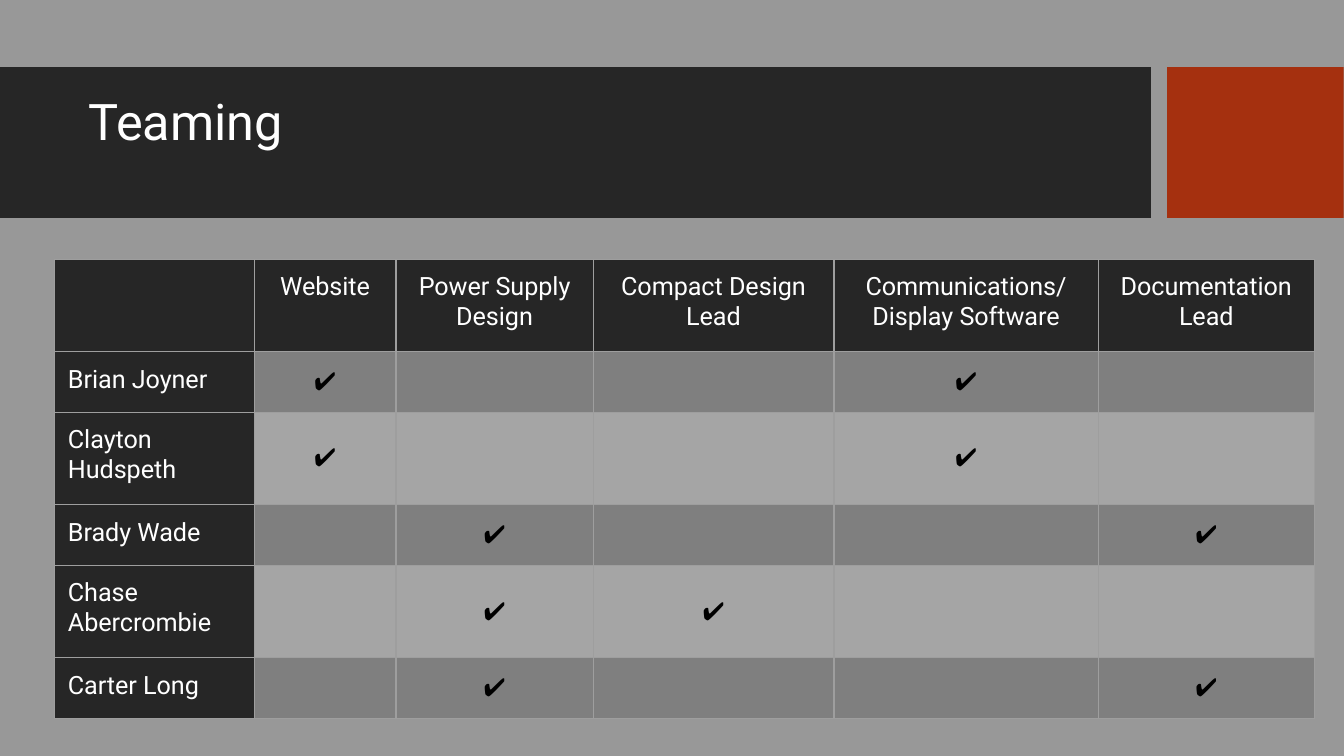
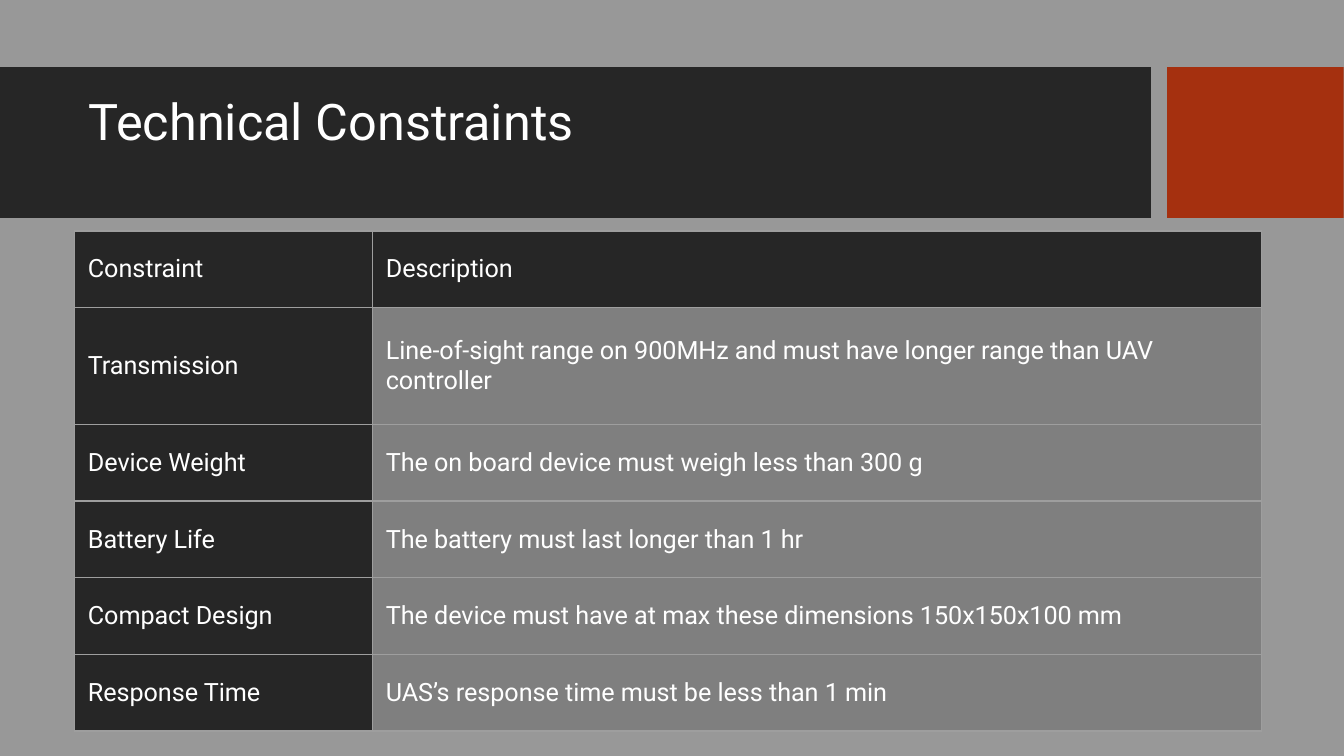
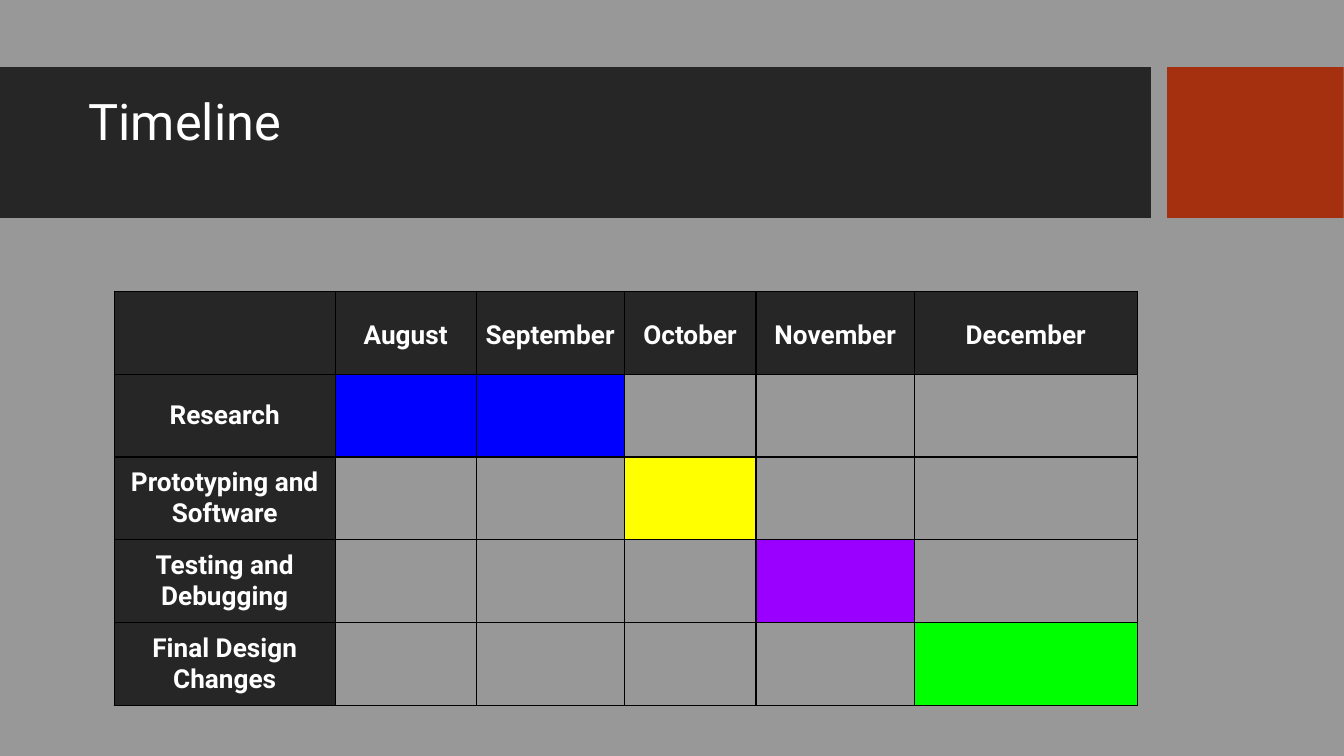
"""Build three project slides: team roles, technical constraints and timeline."""
from dataclasses import dataclass

from lxml import etree
from pptx import Presentation
from pptx.dml.color import RGBColor
from pptx.enum.shapes import MSO_SHAPE
from pptx.enum.text import MSO_ANCHOR, PP_ALIGN
from pptx.oxml.ns import qn
from pptx.util import Pt

RECTANGLE = MSO_SHAPE.RECTANGLE
TOP, MIDDLE = MSO_ANCHOR.TOP, MSO_ANCHOR.MIDDLE
LEFT, CENTER = PP_ALIGN.LEFT, PP_ALIGN.CENTER
CHECK = "✔"


@dataclass(frozen=True)
class Theme:
    background: str = "989898"
    band: str = "262626"
    accent: str = "A5300F"
    light_text: str = "FFFFFF"
    dark_text: str = "000000"
    row_dark: str = "7F7F7F"
    row_light: str = "A5A5A5"
    grid: str = "9E9E9E"
    timeline_grid: str = "000000"
    font: str = "Roboto"
    title_size: float = 27
    table_size: float = 13.5
    timeline_size: float = 14


@dataclass(frozen=True)
class TableStyle:
    size: float
    border: str
    margins: tuple
    bold: bool = False
    anchor: int = MIDDLE
    header_align: int = LEFT
    label_align: int = LEFT
    body_align: int = LEFT
    header_spacing: float = 1.0


THEME = Theme()

ROLES = ["Website", "Power Supply Design", "Compact Design Lead",
         "Communications/\nDisplay Software", "Documentation Lead"]
MEMBERS = [
    ("Brian Joyner", (0, 3)),
    ("Clayton Hudspeth", (0, 3)),
    ("Brady Wade", (1, 4)),
    ("Chase Abercrombie", (1, 2)),
    ("Carter Long", (1, 4)),
]
CONSTRAINTS = [
    ("Constraint", "Description"),
    ("Transmission", "Line-of-sight range on 900MHz and must have longer range than UAV controller"),
    ("Device Weight", "The on board device must weigh less than 300 g"),
    ("Battery Life", "The battery must last longer than 1 hr"),
    ("Compact Design", "The device must have at max these dimensions 150x150x100 mm"),
    ("Response Time", "UAS’s response time must be less than 1 min"),
]
MONTHS = ["August", "September", "October", "November", "December"]
PHASES = [
    ("Research", "0000FF", (0, 1)),
    ("Prototyping and Software", "FFFF00", (2,)),
    ("Testing and Debugging", "9900FF", (3,)),
    ("Final Design Changes", "00FF00", (4,)),
]

TEAM_STYLE = TableStyle(THEME.table_size, THEME.grid, (7.2, 7.2), anchor=TOP,
                        header_align=CENTER, body_align=CENTER)
CONSTRAINT_STYLE = TableStyle(THEME.table_size, THEME.grid, (7.2, 7.2))
TIMELINE_STYLE = TableStyle(THEME.timeline_size, THEME.timeline_grid, (2.2, 1.4), bold=True,
                            header_align=CENTER, label_align=CENTER, header_spacing=1.15)


def color(value):
    return RGBColor.from_string(value)


def format_text(text_frame, size, text_color, align, spacing, bold=False):
    for paragraph in text_frame.paragraphs:
        paragraph.alignment = align
        paragraph.line_spacing = spacing
        for run in paragraph.runs:
            run.font.name = THEME.font
            run.font.size = Pt(size)
            run.font.bold = bold
            run.font.color.rgb = color(text_color)


def add_band(slide, left, width, fill):
    shape = slide.shapes.add_shape(RECTANGLE, Pt(left), Pt(36), Pt(width), Pt(80.8))
    shape.shadow.inherit = False
    shape.fill.solid()
    shape.fill.fore_color.rgb = color(fill)
    shape.line.fill.background()


def add_titled_slide(presentation, title):
    slide = presentation.slides.add_slide(presentation.slide_layouts[6])
    slide.background.fill.solid()
    slide.background.fill.fore_color.rgb = color(THEME.background)
    add_band(slide, 0, 616.5, THEME.band)
    add_band(slide, 625.2, 94.6, THEME.accent)
    text_frame = slide.shapes.add_textbox(Pt(40.4), Pt(44.6), Pt(568), Pt(64)).text_frame
    text_frame.word_wrap = True
    text_frame.margin_left = text_frame.margin_right = Pt(7.2)
    text_frame.margin_top = text_frame.margin_bottom = Pt(7.2)
    text_frame.text = title
    format_text(text_frame, THEME.title_size, THEME.light_text, LEFT, 0.9)
    return slide


def set_borders(cell, border):
    properties = cell._tc.get_or_add_tcPr()
    for side in ("a:lnL", "a:lnR", "a:lnT", "a:lnB"):
        line = etree.SubElement(properties, qn(side), w=str(Pt(0.75)))
        fill = etree.SubElement(line, qn("a:solidFill"))
        etree.SubElement(fill, qn("a:srgbClr"), val=border)


def fill_cell(cell, fill):
    if fill:
        cell.fill.solid()
        cell.fill.fore_color.rgb = color(fill)
    else:
        cell.fill.background()


def write_cell(cell, text, style, is_header, is_label):
    horizontal, vertical = style.margins
    cell.margin_left = cell.margin_right = Pt(horizontal)
    cell.margin_top = cell.margin_bottom = Pt(vertical if text else 0)
    cell.vertical_anchor = MIDDLE if text == CHECK else style.anchor
    cell.text_frame.text = text
    align = (style.header_align if is_header
             else style.label_align if is_label else style.body_align)
    format_text(cell.text_frame, style.size,
                THEME.dark_text if text == CHECK else THEME.light_text,
                align, style.header_spacing if is_header else 1.0, style.bold)


def add_grid(slide, left, top, widths, heights, rows, body_fills, style):
    table = slide.shapes.add_table(len(rows), len(widths), Pt(left), Pt(top),
                                   Pt(sum(widths)), Pt(sum(heights))).table
    table.horz_banding = False
    for column, width in zip(table.columns, widths):
        column.width = Pt(width)
    for row_index, (texts, height) in enumerate(zip(rows, heights)):
        table.rows[row_index].height = Pt(height)
        for column_index, text in enumerate(texts):
            cell = table.cell(row_index, column_index)
            is_header, is_label = row_index == 0, column_index == 0
            write_cell(cell, text, style, is_header, is_label)
            set_borders(cell, style.border)
            fill_cell(cell, THEME.band if is_header or is_label
                      else body_fills[row_index - 1][column_index - 1])


def build_team(presentation):
    slide = add_titled_slide(presentation, "Teaming")
    rows = [["", *ROLES]]
    rows += [[name, *(CHECK if role in duties else "" for role in range(len(ROLES)))]
             for name, duties in MEMBERS]
    fills = [[(THEME.row_dark, THEME.row_light)[index % 2]] * len(ROLES)
             for index in range(len(MEMBERS))]
    add_grid(slide, 29.2, 138.8, [107, 76, 105.6, 129, 141.6, 115.8],
             [49.6, 32.4] * 3, rows, fills, TEAM_STYLE)


def build_constraints(presentation):
    slide = add_titled_slide(presentation, "Technical Constraints")
    fills = [[THEME.row_dark]] * (len(CONSTRAINTS) - 1)
    add_grid(slide, 39.9, 123.7, [159.6, 476.4], [41, 62.7] + [41.1] * 4,
             CONSTRAINTS, fills, CONSTRAINT_STYLE)


def build_timeline(presentation):
    slide = add_titled_slide(presentation, "Timeline")
    rows = [["", *MONTHS]] + [[phase] + [""] * len(MONTHS) for phase, _, _ in PHASES]
    fills = [[fill if month in active else None for month in range(len(MONTHS))]
             for _, fill, active in PHASES]
    add_grid(slide, 61.2, 156.2, [118.4, 75.5, 79.3, 70.7, 84.8, 119.4],
             [44.35] * len(rows), rows, fills, TIMELINE_STYLE)


def main():
    presentation = Presentation()
    presentation.slide_width, presentation.slide_height = Pt(720), Pt(405)
    build_team(presentation)
    build_constraints(presentation)
    build_timeline(presentation)
    presentation.save("out.pptx")


if __name__ == "__main__":
    main()
